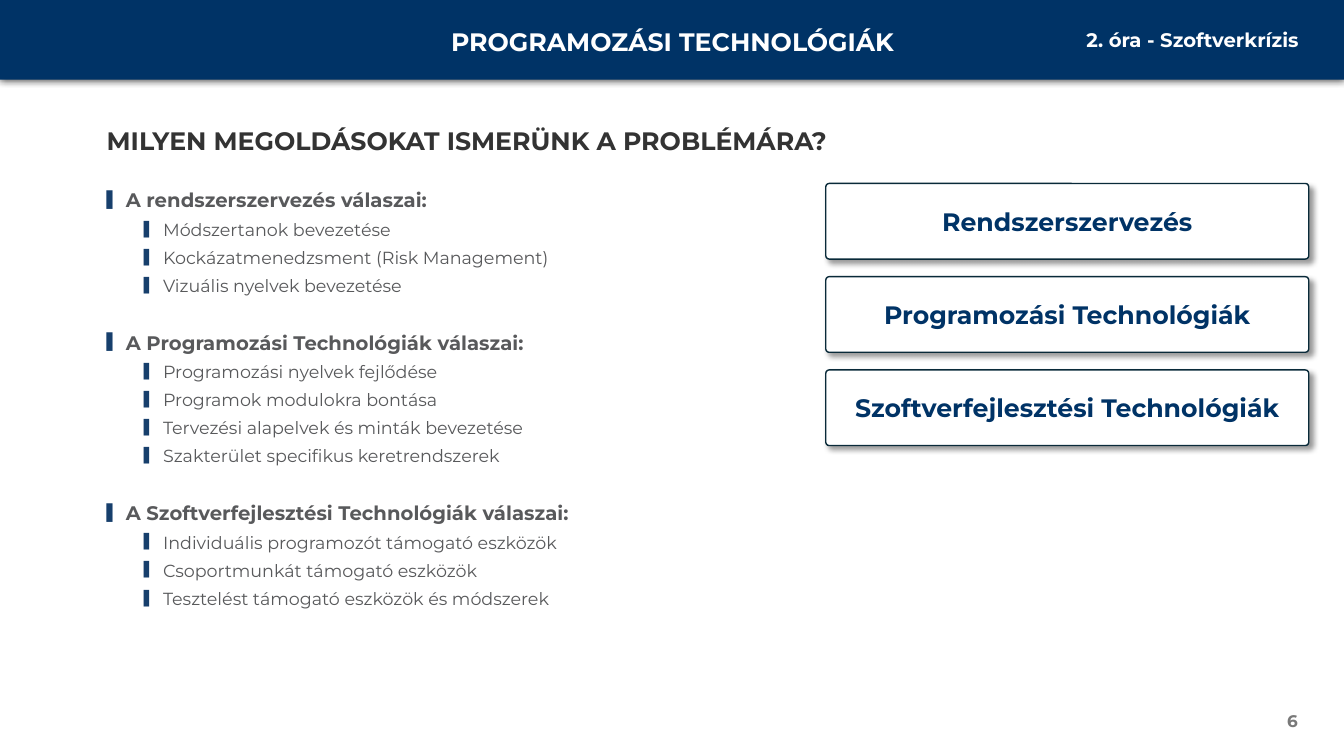
from lxml import etree
from pptx import Presentation
from pptx import util as u
from pptx.dml.color import RGBColor
from pptx.enum import shapes, text
from pptx.oxml import ns

NAVY = RGBColor(0x00, 0x33, 0x66)
WHITE = RGBColor(0xFF, 0xFF, 0xFF)
HEADING = RGBColor(0x33, 0x33, 0x33)
BODY = RGBColor(0x58, 0x59, 0x5B)
BULLET = RGBColor(0x17, 0x3F, 0x6C)
PAGE_NUMBER = RGBColor(0x79, 0x79, 0x79)
CARD_LINE = RGBColor(0x09, 0x2A, 0x39)

FONT = "Montserrat"
LEFT, CENTER, RIGHT = text.PP_ALIGN.LEFT, text.PP_ALIGN.CENTER, text.PP_ALIGN.RIGHT
TOP, MIDDLE = text.MSO_ANCHOR.TOP, text.MSO_ANCHOR.MIDDLE

ANSWERS = {
    "A rendszerszervezés válaszai:": [
        "Módszertanok bevezetése",
        "Kockázatmenedzsment (Risk Management)",
        "Vizuális nyelvek bevezetése",
    ],
    "A Programozási Technológiák válaszai:": [
        "Programozási nyelvek fejlődése",
        "Programok modulokra bontása",
        "Tervezési alapelvek és minták bevezetése",
        "Szakterület specifikus keretrendszerek",
    ],
    "A Szoftverfejlesztési Technológiák válaszai:": [
        "Individuális programozót támogató eszközök",
        "Csoportmunkát támogató eszközök",
        "Tesztelést támogató eszközök és módszerek",
    ],
}
CARDS = ["Rendszerszervezés", "Programozási Technológiák", "Szoftverfejlesztési Technológiák"]
CARD_TOP, CARD_PITCH = 1.82, 0.925
GROUP_GAP = 22.8


def add_child(parent, tag, **attributes):
    values = {name: str(value) for name, value in attributes.items()}
    return etree.SubElement(parent, ns.qn(tag), values)


def write(para, words, *, size, color, bold=True, align=LEFT):
    para.alignment = align
    span = para.add_run()
    span.text = words
    span.font.name = FONT
    span.font.size = u.Pt(size)
    span.font.bold = bold
    span.font.color.rgb = color


def add_bullet(para, indent):
    """Give the paragraph a bar bullet that hangs before the indent."""
    props = para._p.get_or_add_pPr()
    props.set("marL", str(u.Inches(indent)))
    props.set("indent", str(u.Inches(-0.19)))
    add_child(add_child(props, "a:buClr"), "a:srgbClr", val=BULLET)
    add_child(props, "a:buSzPct", val=80000)
    add_child(props, "a:buFont", typeface=FONT)
    add_child(props, "a:buChar", char="▌")


class SlideBuilder:
    def __init__(self, deck):
        self.page = deck.slides.add_slide(deck.slide_layouts[6])

    def panel(self, kind, left, top, width, height, fill, line=None):
        box = self.page.shapes.add_shape(kind, *map(u.Inches, (left, top, width, height)))
        box.fill.solid()
        box.fill.fore_color.rgb = fill
        if line is None:
            box.line.fill.background()
        else:
            box.line.color.rgb = line
            box.line.width = u.Pt(1)
        return box

    def shadow(self, box, opacity, blur, distance, angle):
        box.shadow.inherit = False
        effects = box._element.spPr.find(ns.qn("a:effectLst"))
        outer = add_child(effects, "a:outerShdw", blurRad=u.Pt(blur), dist=u.Pt(distance),
                          dir=angle * 60000, algn="ctr", rotWithShape=0)
        color = add_child(outer, "a:srgbClr", val="000000")
        add_child(color, "a:alpha", val=opacity * 1000)

    def text_box(self, left, top, width, height):
        box = self.page.shapes.add_textbox(*map(u.Inches, (left, top, width, height)))
        box.text_frame.word_wrap = True
        return box.text_frame

    def label(self, words, left, top, width, height, anchor=TOP, **style):
        frame = self.text_box(left, top, width, height)
        frame.vertical_anchor = anchor
        write(frame.paragraphs[0], words, **style)

    def card(self, words, top):
        box = self.panel(shapes.MSO_SHAPE.ROUNDED_RECTANGLE, 8.19, top, 4.79, 0.75, WHITE, CARD_LINE)
        box.adjustments[0] = 0.045
        self.shadow(box, opacity=40, blur=4, distance=3, angle=45)
        box.text_frame.vertical_anchor = MIDDLE
        write(box.text_frame.paragraphs[0], words, size=18, color=NAVY, align=CENTER)

    def outline(self, groups, left, top, width, height):
        """Write each group as a bold heading with its points below."""
        frame = self.text_box(left, top, width, height)
        for number, (heading, points) in enumerate(groups.items()):
            para = frame.add_paragraph() if number else frame.paragraphs[0]
            self.outline_line(para, heading, 0, before=GROUP_GAP if number else 3)
            for point in points:
                self.outline_line(frame.add_paragraph(), point, 1)

    def outline_line(self, para, words, level, before=3):
        para.level = level
        para.space_before = u.Pt(before)
        para.space_after = u.Pt(2)
        add_bullet(para, (0.19, 0.56)[level])
        write(para, words, size=(14, 12.5)[level], color=BODY, bold=level == 0)


def main():
    deck = Presentation()
    deck.slide_width, deck.slide_height = u.Inches(13.33), u.Inches(7.5)
    slide = SlideBuilder(deck)

    header = slide.panel(shapes.MSO_SHAPE.RECTANGLE, 0, 0, 13.33, 0.79, NAVY)
    slide.shadow(header, opacity=80, blur=6, distance=0, angle=90)
    slide.label("PROGRAMOZÁSI TECHNOLÓGIÁK", 4.06, 0.21, 5.22, 0.4,
                size=18, color=WHITE, align=CENTER)
    slide.label("2. óra - Szoftverkrízis", 10.28, 0.23, 2.7, 0.34,
                size=14, color=WHITE, align=RIGHT)
    slide.label("MILYEN MEGOLDÁSOKAT ISMERÜNK A PROBLÉMÁRA?", 0.96, 1.19, 8.32, 0.4,
                size=18, color=HEADING)
    slide.outline(ANSWERS, 0.96, 1.82, 7.1, 5.13)
    slide.label("6", 9.97, 6.95, 3, 0.4, anchor=MIDDLE,
                size=12, color=PAGE_NUMBER, align=RIGHT)
    for number, words in enumerate(CARDS):
        slide.card(words, CARD_TOP + number * CARD_PITCH)

    deck.save("out.pptx")


if __name__ == "__main__":
    main()
